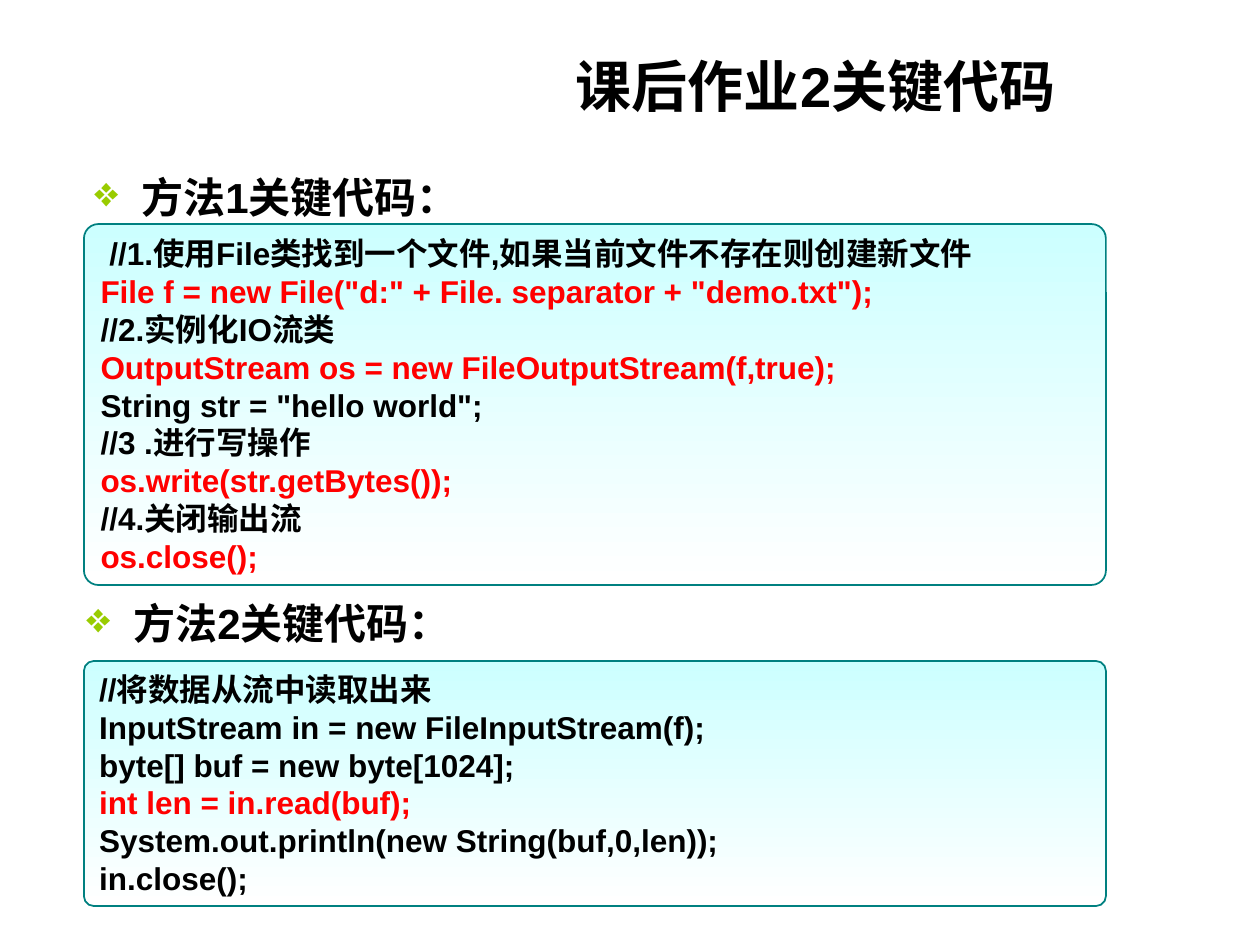
from lxml.etree import SubElement
from pptx import Presentation
from pptx.dml.color import RGBColor
from pptx.enum.shapes import MSO_SHAPE
from pptx.enum.text import MSO_ANCHOR, PP_ALIGN
from pptx.oxml.ns import qn
from pptx.util import Emu, Pt

BLACK = RGBColor(0x00, 0x00, 0x00)
RED = RGBColor(0xFF, 0x00, 0x00)
TEAL = RGBColor(0x00, 0x80, 0x80)
PALE_CYAN = RGBColor(0xCC, 0xFF, 0xFF)
WHITE = RGBColor(0xFF, 0xFF, 0xFF)
BULLET_GREEN = "99CC00"


def px(count):
    """Turn pixels, 126 to the inch, into EMU."""
    return Emu(round(count * 914400 / 126))


def add_bold_run(paragraph, text, size, color=BLACK):
    run = paragraph.add_run()
    run.text = text
    run.font.name = "Arial"
    run.font.size = Pt(size)
    run.font.bold = True
    run.font.color.rgb = color


presentation = Presentation()
presentation.slide_width = px(1260)
presentation.slide_height = px(945)
slide = presentation.slides.add_slide(presentation.slide_layouts[6])

# Title
title = slide.shapes.add_textbox(px(323), px(45), px(745), px(80)).text_frame
title.word_wrap = True
title.vertical_anchor = MSO_ANCHOR.MIDDLE
title.paragraphs[0].alignment = PP_ALIGN.RIGHT
add_bold_run(title.paragraphs[0], "课后作业2关键代码", 32)

# Bulleted headings
for left, top, heading in [(82, 165, "方法1关键代码："), (74, 591, "方法2关键代码：")]:
    frame = slide.shapes.add_textbox(px(left), px(top), px(558), px(64)).text_frame
    frame.word_wrap = True
    paragraph = frame.paragraphs[0]
    paragraph.space_before = Pt(6)
    properties = paragraph._p.get_or_add_pPr()
    properties.set("marL", str(px(47)))
    properties.set("indent", str(-px(47)))
    bullet_color = SubElement(properties, qn("a:buClr"))
    SubElement(bullet_color, qn("a:srgbClr"), val=BULLET_GREEN)
    SubElement(properties, qn("a:buChar"), char="❖")
    add_bold_run(paragraph, heading, 24)

# Code panels: top, height, lines
write_code = [
    (" //1.使用File类找到一个文件,如果当前文件不存在则创建新文件", BLACK),
    ('File f = new File("d:" + File. separator + "demo.txt");', RED),
    ("//2.实例化IO流类", BLACK),
    ("OutputStream os = new FileOutputStream(f,true);", RED),
    ('String str = "hello world";', BLACK),
    ("//3 .进行写操作", BLACK),
    ("os.write(str.getBytes());", RED),
    ("//4.关闭输出流", BLACK),
    ("os.close();", RED),
]
read_code = [
    ("//将数据从流中读取出来", BLACK),
    ("InputStream in = new FileInputStream(f);", BLACK),
    ("byte[] buf = new byte[1024];", BLACK),
    ("int len = in.read(buf);", RED),
    ("System.out.println(new String(buf,0,len));", BLACK),
    ("in.close();", BLACK),
]
for top, height, code in [(224, 361, write_code), (661, 245, read_code)]:
    panel = slide.shapes.add_shape(
        MSO_SHAPE.ROUNDED_RECTANGLE, px(84), px(top), px(1022), px(height))
    panel.adjustments[0] = 0.04
    panel.shadow.inherit = False
    panel.fill.gradient()
    panel.fill.gradient_angle = 270
    for stop, color in zip(panel.fill.gradient_stops, (PALE_CYAN, WHITE)):
        stop.color.rgb = color
    panel.line.color.rgb = TEAL
    panel.line.width = Pt(1)

    frame = panel.text_frame
    frame.word_wrap = True
    frame.vertical_anchor = MSO_ANCHOR.MIDDLE
    for index, (text, color) in enumerate(code):
        paragraph = frame.add_paragraph() if index else frame.paragraphs[0]
        paragraph.alignment = PP_ALIGN.LEFT
        paragraph.line_spacing = Pt(21.6)
        add_bold_run(paragraph, text, 18, color)

presentation.save("out.pptx")
